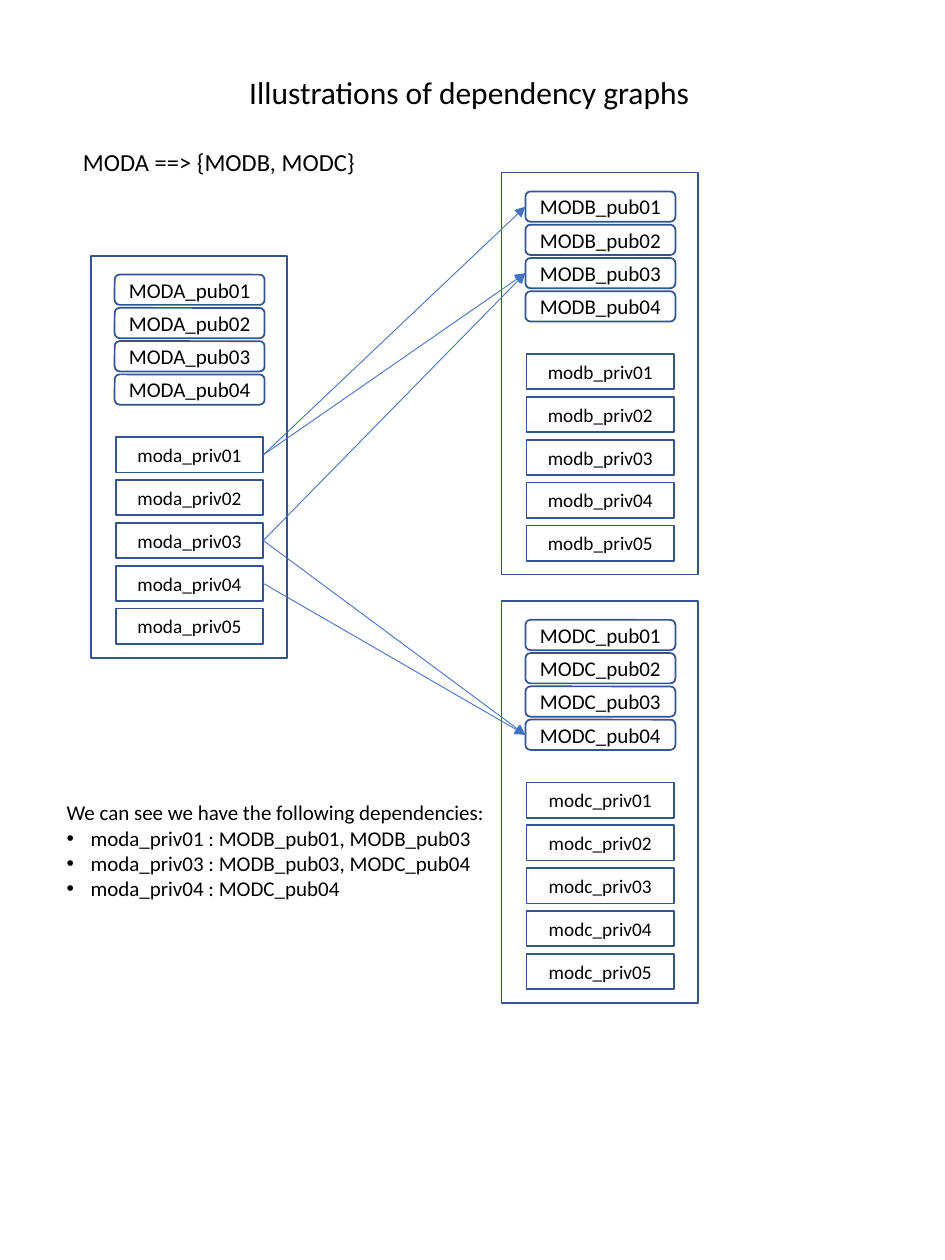
from dataclasses import dataclass

from lxml import etree
from pptx import Presentation
from pptx import util as u
from pptx.dml.color import RGBColor
from pptx.enum import shapes, text
from pptx.oxml import ns


@dataclass(frozen=True)
class Theme:
    font: str = "Calibri"
    ink: RGBColor = RGBColor(0x00, 0x00, 0x00)
    outline: RGBColor = RGBColor(0x32, 0x54, 0x91)
    arrow: RGBColor = RGBColor(0x44, 0x72, 0xC4)
    title_size: int = 18
    relation_size: int = 14
    public_size: int = 12
    private_size: int = 11
    summary_size: int = 12
    outline_width: float = 1
    arrow_width: float = 0.5


@dataclass(frozen=True)
class Module:
    letter: str
    left: float
    top: float


@dataclass(frozen=True)
class EntryStyle:
    prefix: str
    count: int
    preset: shapes.MSO_SHAPE
    left: float
    top: float
    width: float
    height: float
    pitch: float
    size: int


@dataclass(frozen=True)
class Note:
    lines: tuple[str, ...]
    left: float
    top: float
    width: float
    height: float
    size: int


THEME = Theme()
MODULE_WIDTH, MODULE_HEIGHT = 1.56, 3.19
MODULES = (Module("a", 0.72, 2.03), Module("b", 3.98, 1.37), Module("c", 3.98, 4.77))
ENTRY_STYLES = (
    EntryStyle("MOD{}_pub", 4, shapes.MSO_SHAPE.ROUNDED_RECTANGLE,
               0.19, 0.15, 1.19, 0.24, 0.264, THEME.public_size),
    EntryStyle("mod{}_priv", 5, shapes.MSO_SHAPE.RECTANGLE,
               0.2, 1.44, 1.17, 0.28, 0.34, THEME.private_size),
)
DEPENDENCIES = {
    "moda_priv01": ("MODB_pub01", "MODB_pub03"),
    "moda_priv03": ("MODB_pub03", "MODC_pub04"),
    "moda_priv04": ("MODC_pub04",),
}
TITLE = Note(("Illustrations of dependency graphs",), 1.88, 0.53, 3.74, 0.4, THEME.title_size)
RELATION = Note(("MODA ==> {MODB, MODC}",), 0.56, 1.12, 2.38, 0.34, THEME.relation_size)
SUMMARY = Note(
    ("We can see we have the following dependencies:",
     *(f"{user} : {', '.join(used)}" for user, used in DEPENDENCIES.items())),
    0.43, 6.3, 3.55, 0.91, THEME.summary_size,
)
LEFT_SITE, RIGHT_SITE = 1, 3


def add_run(paragraph, wording: str, size: int) -> None:
    run = paragraph.add_run()
    run.text = wording
    run.font.name = THEME.font
    run.font.size = u.Pt(size)
    run.font.color.rgb = THEME.ink


def add_bullet(paragraph) -> None:
    properties = paragraph._p.get_or_add_pPr()
    indent = u.Inches(0.19)
    properties.set("marL", str(indent))
    properties.set("indent", str(-indent))
    etree.SubElement(properties, ns.qn("a:buFont")).set("typeface", "Arial")
    etree.SubElement(properties, ns.qn("a:buChar")).set("char", "•")


def add_note(slide, note: Note) -> None:
    box = slide.shapes.add_textbox(*map(u.Inches, (note.left, note.top, note.width, note.height)))
    frame = box.text_frame
    frame.word_wrap = False
    frame.auto_size = text.MSO_AUTO_SIZE.SHAPE_TO_FIT_TEXT
    for index, line in enumerate(note.lines):
        paragraph = frame.add_paragraph() if index else frame.paragraphs[0]
        if index:
            add_bullet(paragraph)
        add_run(paragraph, line, note.size)


def add_outline(group, preset: shapes.MSO_SHAPE, left: float, top: float,
                width: float, height: float):
    outline = group.shapes.add_shape(preset, *map(u.Inches, (left, top, width, height)))
    outline.shadow.inherit = False
    outline.fill.background()
    outline.line.color.rgb = THEME.outline
    outline.line.width = u.Pt(THEME.outline_width)
    return outline


def add_entry(group, module: Module, style: EntryStyle, index: int, wording: str):
    entry = add_outline(group, style.preset, module.left + style.left,
                        module.top + style.top + index * style.pitch,
                        style.width, style.height)
    frame = entry.text_frame
    frame.margin_left = frame.margin_right = u.Inches(0.05)
    frame.vertical_anchor = text.MSO_ANCHOR.MIDDLE
    paragraph = frame.paragraphs[0]
    paragraph.alignment = text.PP_ALIGN.CENTER
    add_run(paragraph, wording, style.size)
    return entry


def add_module(slide, module: Module) -> dict:
    group = slide.shapes.add_group_shape()
    add_outline(group, shapes.MSO_SHAPE.RECTANGLE, module.left, module.top,
                MODULE_WIDTH, MODULE_HEIGHT)
    entries = {}
    for style in ENTRY_STYLES:
        letter = module.letter.upper() if style.prefix.startswith("MOD") else module.letter
        for index in range(style.count):
            wording = f"{style.prefix.format(letter)}{index + 1:02}"
            entries[wording] = add_entry(group, module, style, index, wording)
    return entries


def add_dependency(slide, user, used) -> None:
    arrow = slide.shapes.add_connector(shapes.MSO_CONNECTOR.STRAIGHT, 0, 0, 0, 0)
    arrow.begin_connect(user, RIGHT_SITE)
    arrow.end_connect(used, LEFT_SITE)
    arrow.line.color.rgb = THEME.arrow
    arrow.line.width = u.Pt(THEME.arrow_width)
    etree.SubElement(arrow.line._get_or_add_ln(), ns.qn("a:tailEnd")).set("type", "triangle")
    etree.SubElement(arrow._element.spPr, ns.qn("a:effectLst"))


def main() -> None:
    deck = Presentation()
    deck.slide_width, deck.slide_height = u.Inches(7.5), u.Inches(10)
    slide = deck.slides.add_slide(deck.slide_layouts[6])
    add_note(slide, TITLE)
    add_note(slide, RELATION)
    entries = {}
    for module in MODULES:
        entries.update(add_module(slide, module))
    for user, used_names in DEPENDENCIES.items():
        for used in used_names:
            add_dependency(slide, entries[user], entries[used])
    add_note(slide, SUMMARY)
    deck.save("out.pptx")


main()
